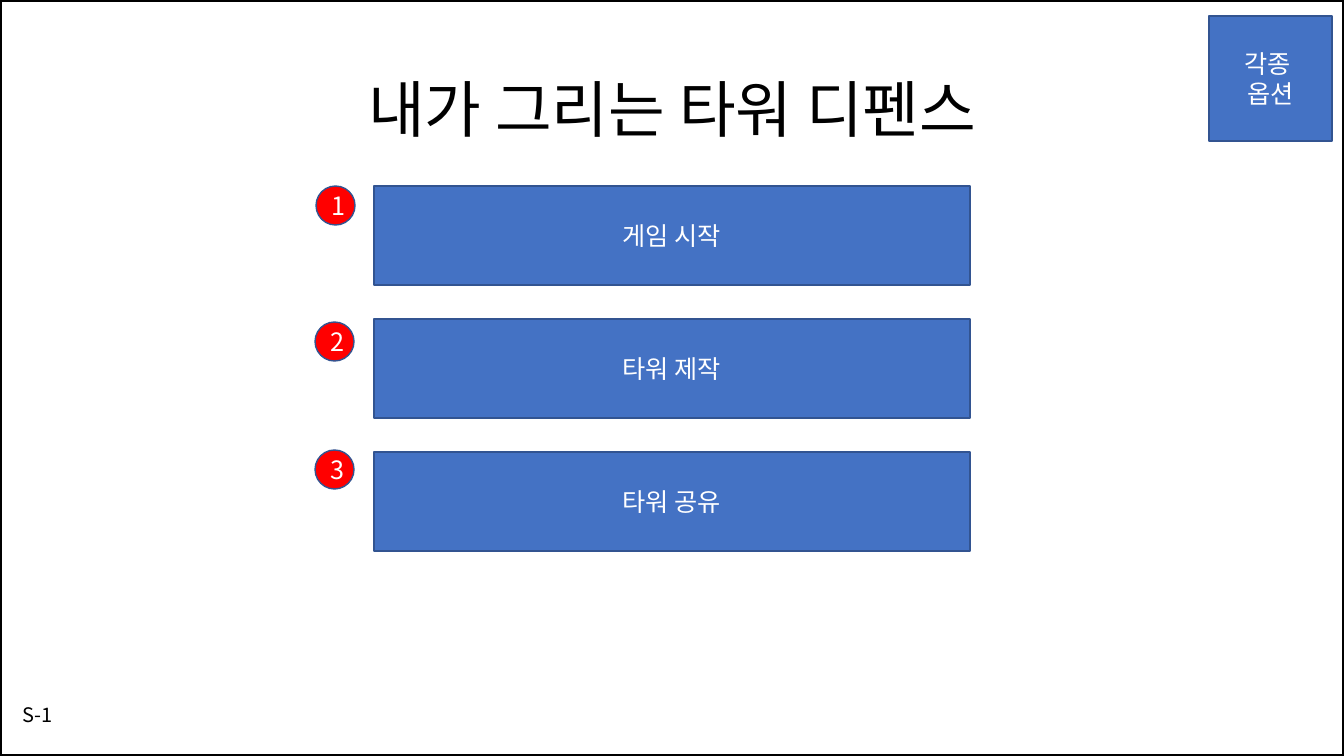
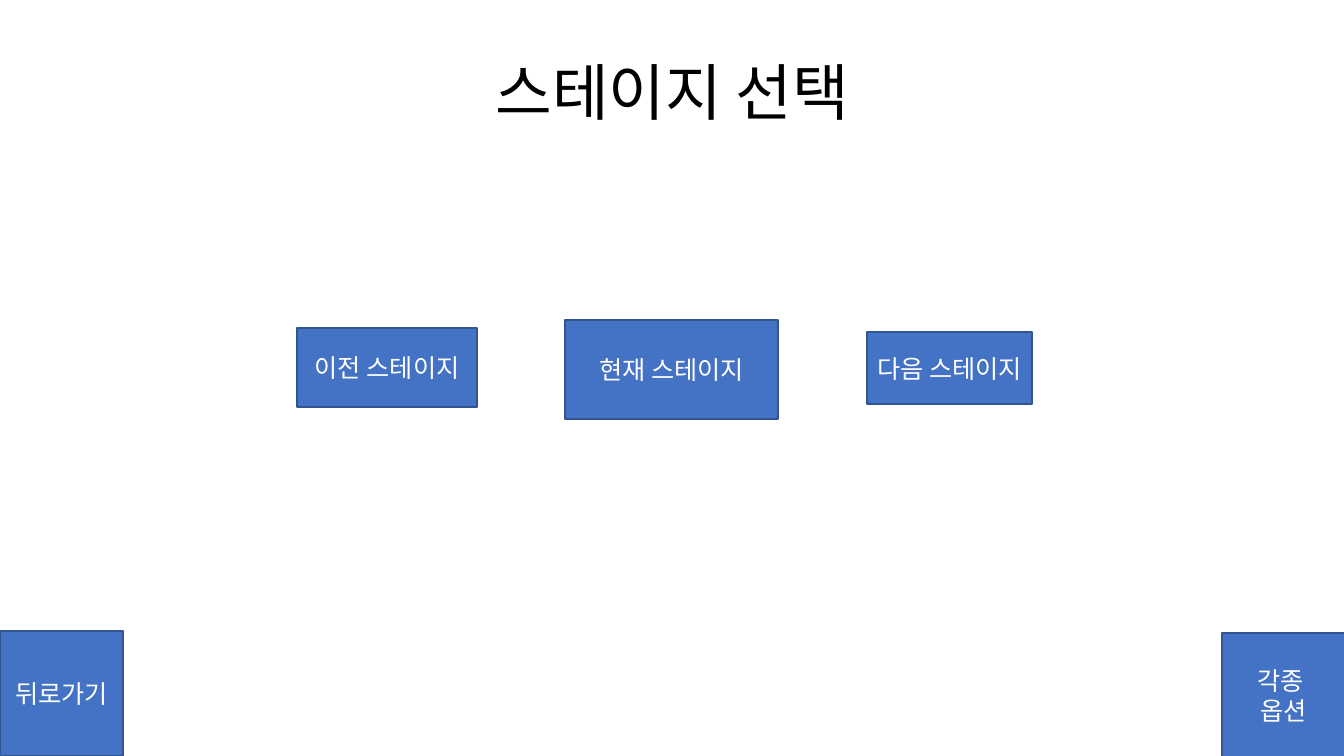
from lxml import etree
from pptx import Presentation
from pptx.dml.color import RGBColor
from pptx.enum.shapes import MSO_SHAPE
from pptx.enum.text import MSO_ANCHOR, PP_ALIGN
from pptx.oxml.ns import qn
from pptx.util import Emu, Pt

RECT = MSO_SHAPE.RECTANGLE
OVAL = MSO_SHAPE.OVAL
CENTER = PP_ALIGN.CENTER
MIDDLE = MSO_ANCHOR.MIDDLE

WIDTH, HEIGHT = 1344, 756
TITLE_ONLY = 5
FONT = "Noto Sans CJK KR"
COLORS = {
    "black": "000000",
    "white": "FFFFFF",
    "blue": "4472C4",
    "edge": "325491",
    "red": "FF0000",
}
OPTIONS = ("각종 ", "옵션")
OPTIONS_SIZE = (123, 125)


def px(value):
    return Emu(round(value * 914400 / 100.8))


def color(name):
    return RGBColor.from_string(COLORS[name])


def set_formats(target, formats):
    for name, value in formats.items():
        setattr(target, name, value)


class Deck:
    def __init__(self):
        self.prs = Presentation()
        set_formats(self.prs, {"slide_width": px(WIDTH), "slide_height": px(HEIGHT)})
        self.slide = None

    def set_text(self, sp, lines, size, ink, spacing=1.0):
        tf = sp.text_frame
        set_formats(tf, {"word_wrap": True, "vertical_anchor": MIDDLE})
        for i, line in enumerate(lines):
            p = tf.add_paragraph() if i else tf.paragraphs[0]
            set_formats(p, {"alignment": CENTER, "line_spacing": spacing})
            r = p.add_run()
            r.text = line
            set_formats(r.font, {"name": FONT, "size": Pt(size)})
            r.font.color.rgb = color(ink)
            ea = etree.SubElement(r.font._element, qn("a:ea"))
            ea.set("typeface", FONT)

    def add_slide(self, title, top):
        layout = self.prs.slide_layouts[TITLE_ONLY]
        self.slide = self.prs.slides.add_slide(layout)
        sp = self.slide.shapes.title
        set_formats(sp, {"left": px(93), "top": px(top),
                         "width": px(1159), "height": px(146)})
        self.set_text(sp, [title], 44, "black", 0.9)

    def shape(self, kind, box, fill, line, weight):
        sp = self.slide.shapes.add_shape(kind, *map(px, box))
        sp.shadow.inherit = False
        if fill:
            sp.fill.solid()
            sp.fill.fore_color.rgb = color(fill)
        else:
            sp.fill.background()
        sp.line.color.rgb = color(line)
        sp.line.width = Pt(weight)
        return sp

    def frame(self):
        self.shape(RECT, (0, 0, WIDTH, HEIGHT), None, "black", 2.5)

    def button(self, box, *lines):
        sp = self.shape(RECT, box, "blue", "edge", 1)
        self.set_text(sp, lines, 18, "white")

    def badge(self, left, top, number):
        sp = self.shape(OVAL, (left, top, 39, 39), "red", "edge", 1)
        self.set_text(sp, [str(number)], 18, "white")

    def label(self, box, text):
        sp = self.slide.shapes.add_textbox(*map(px, box))
        self.set_text(sp, [text], 14.3, "black", 0.7)


def build_menu(deck):
    deck.add_slide("내가 그리는 타워 디펜스", 40)
    deck.frame()
    for i, text in enumerate(("게임 시작", "타워 제작", "타워 공유")):
        deck.button((374, 186 + 133 * i, 596, 99), text)
    deck.button((1209, 16, *OPTIONS_SIZE), *OPTIONS)
    deck.label((12, 694, 52, 47), "S-1")
    badges = ((316, 186), (315, 322), (315, 450))
    for number, (left, top) in enumerate(badges, 1):
        deck.badge(left, top, number)


def build_stages(deck):
    deck.add_slide("스테이지 선택", 23)
    deck.button((297, 328, 180, 79), "이전 스테이지")
    deck.button((565, 320, 213, 99), "현재 스테이지")
    deck.button((867, 332, 165, 72), "다음 스테이지")
    deck.button((0, 631, *OPTIONS_SIZE), "뒤로가기")
    deck.button((1222, 633, *OPTIONS_SIZE), *OPTIONS)


def main():
    deck = Deck()
    build_menu(deck)
    build_stages(deck)
    deck.prs.save("out.pptx")


if __name__ == "__main__":
    main()
